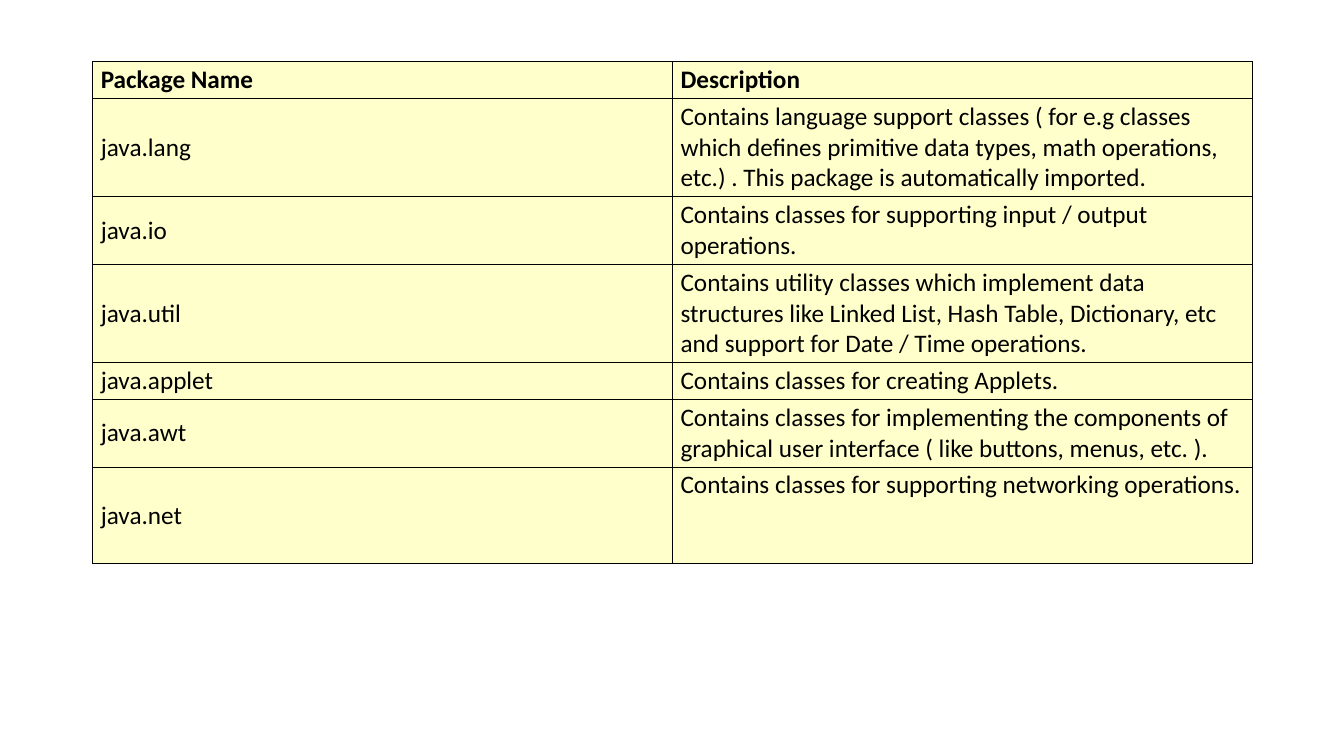
from lxml.etree import SubElement as Sub
from pptx import Presentation as Deck
from pptx.dml.color import RGBColor as Rgb
from pptx.enum.text import MSO_ANCHOR as Anchor
from pptx.oxml.ns import qn
from pptx.util import Pt

PX = 9144  # 100 px to the inch
LINE, PAD = 30, 3

# package, description, row height in text lines
ROWS = [
    ("Package Name", "Description", 1),
    ("java.lang", "Contains language support classes ( for e.g classes which defines "
     "primitive data types, math operations, etc.) . This package is automatically imported.", 3),
    ("java.io", "Contains classes for supporting input / output operations.", 2),
    ("java.util", "Contains utility classes which implement data structures like Linked List, "
     "Hash Table, Dictionary, etc and support for Date / Time operations.", 3),
    ("java.applet", "Contains classes for creating Applets.", 1),
    ("java.awt", "Contains classes for implementing the components of graphical user "
     "interface ( like buttons, menus, etc. ).", 2),
    ("java.net", "Contains classes for supporting networking operations.", 3),
]


def color(code):
    return Rgb.from_string(code)


class Page:
    font = {"name": "Calibri", "size": Pt(18)}
    inset = {"margin_left": 8 * PX, "margin_right": 8 * PX,
             "margin_top": PAD * PX, "margin_bottom": PAD * PX}
    ink, paper = "000000", "FFFFCC"

    def __init__(self, slide):
        self.slide = slide

    def border(self, cell):
        """Draw thin lines on all four sides; call before filling the cell."""
        props = cell._tc.get_or_add_tcPr()
        for side in ("lnL", "lnR", "lnT", "lnB"):
            line = Sub(props, qn(f"a:{side}"), w=str(Pt(0.6)))
            Sub(Sub(line, qn("a:solidFill")), qn("a:srgbClr"), val=self.ink)

    def cell(self, cell, text, bold, anchor):
        self.border(cell)
        cell.fill.solid()
        cell.fill.fore_color.rgb = color(self.paper)
        for key, val in {**self.inset, "vertical_anchor": anchor}.items():
            setattr(cell, key, val)
        cell.text = text
        font = cell.text_frame.paragraphs[0].runs[0].font
        for key, val in {**self.font, "bold": bold}.items():
            setattr(font, key, val)
        font.color.rgb = color(self.ink)

    def table(self, rows, left, top, width):
        highs = [LINE * count + 2 * PAD for *_, count in rows]
        box = (left, top, width, sum(highs))
        table = self.slide.shapes.add_table(len(rows), 2, *(n * PX for n in box)).table
        for r, (name, about, _) in enumerate(rows):
            table.rows[r].height = highs[r] * PX
            last = r == len(rows) - 1
            self.cell(table.cell(r, 0), name, r == 0, Anchor.MIDDLE)
            self.cell(table.cell(r, 1), about, r == 0, Anchor.TOP if last else Anchor.MIDDLE)


def main():
    deck = Deck()
    deck.slide_width, deck.slide_height = 1333 * PX, 750 * PX
    page = Page(deck.slides.add_slide(deck.slide_layouts[6]))
    page.table(ROWS, 92, 61, 1150)
    deck.save("out.pptx")


if __name__ == "__main__":
    main()
